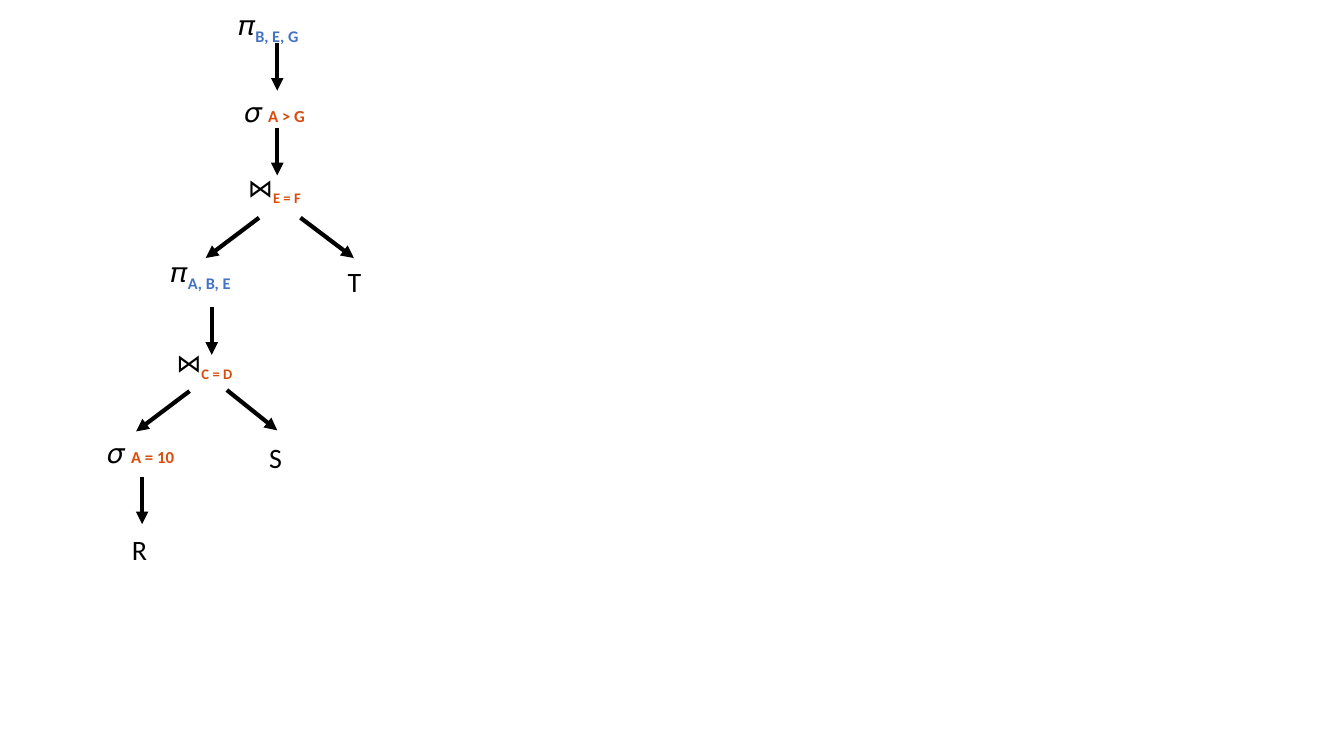
from lxml import etree
from pptx import Presentation
from pptx.dml.color import RGBColor
from pptx.enum.shapes import MSO_CONNECTOR
from pptx.oxml.ns import qn
from pptx.util import Inches, Pt

STRAIGHT = MSO_CONNECTOR.STRAIGHT
COLORS = {"ink": "000000", "projection": "4472C4", "condition": "DA4C0C"}
PI, SIGMA, JOIN = "\U0001D70B", "\U0001D70E ", "\u22C8"


class QueryTree:
    """Draws relational algebra nodes and arrows on one slide."""

    def __init__(self, slide, font="Calibri"):
        """Keep the slide and the font."""
        self.slide = slide
        self.font = font

    def label(self, left, top, width, height, parts):
        """Add a text box; parts are (text, size, color, bold, baseline)."""
        box = self.slide.shapes.add_textbox(
            Inches(left), Inches(top), Inches(width), Inches(height))
        box.text_frame.word_wrap = True
        paragraph = box.text_frame.paragraphs[0]
        for text, size, color, bold, baseline in parts:
            run = paragraph.add_run()
            run.text = text
            run.font.name = self.font
            run.font.size = Pt(size)
            run.font.bold = bold
            run.font.color.rgb = RGBColor.from_string(COLORS[color])
            if baseline:
                run._r.get_or_add_rPr().set("baseline", str(baseline * 1000))

    def relation(self, left, top, name):
        """Add a leaf holding a relation name."""
        self.label(left, top, 0.41, 0.41, [(name, 20, "ink", False, 0)])

    def projection(self, left, top, columns):
        """Add a projection with its columns as subscript."""
        self.label(left, top, 1.42, 0.41, [
            (PI, 20, "ink", True, 0), (columns, 20, "projection", True, -25)])

    def selection(self, left, top, condition):
        """Add a selection with its condition in small type."""
        self.label(left, top, 1.35, 0.41, [
            (SIGMA, 20, "ink", True, 0), (condition, 12, "condition", True, 0)])

    def join(self, left, top, condition):
        """Add a join with its condition as subscript."""
        self.label(left, top, 0.78, 0.4, [
            (JOIN, 18, "ink", False, 0), (condition, 18, "condition", True, -25)])

    def arrow(self, left, top, across, down):
        """Add an arrow from a start point by the given offsets."""
        connector = self.slide.shapes.add_connector(
            STRAIGHT, Inches(left), Inches(top),
            Inches(left + across), Inches(top + down))
        connector.line.color.rgb = RGBColor.from_string(COLORS["ink"])
        connector.line.width = Pt(3)
        line = connector.line._get_or_add_ln()
        etree.SubElement(line, qn("a:tailEnd"), type="triangle")
        etree.SubElement(connector._element.spPr, qn("a:effectLst"))


presentation = Presentation()
presentation.slide_width = Inches(13.33)
presentation.slide_height = Inches(7.5)
slide = presentation.slides.add_slide(presentation.slide_layouts[6])
tree = QueryTree(slide)

tree.projection(2.27, 0.02, "B, E, G")
tree.selection(2.33, 0.89, "A > G")
tree.join(2.36, 1.66, "E = F")
tree.projection(1.6, 2.48, "A, B, E")
tree.relation(3.35, 2.57, "T")
tree.join(1.65, 3.4, "C = D")
tree.selection(0.97, 4.27, "A = 10")
tree.relation(2.57, 4.32, "S")
tree.relation(1.21, 5.23, "R")

for left, top in [(2.75, 0.43), (2.75, 1.27), (2.1, 3.05), (1.41, 4.73)]:
    tree.arrow(left, top, 0, 0.47)
for left, top, across in [(2.57, 2.16, -0.53), (2.98, 2.16, 0.53),
                          (1.88, 3.88, -0.53), (2.25, 3.87, 0.5)]:
    tree.arrow(left, top, across, 0.4)

presentation.save("out.pptx")
